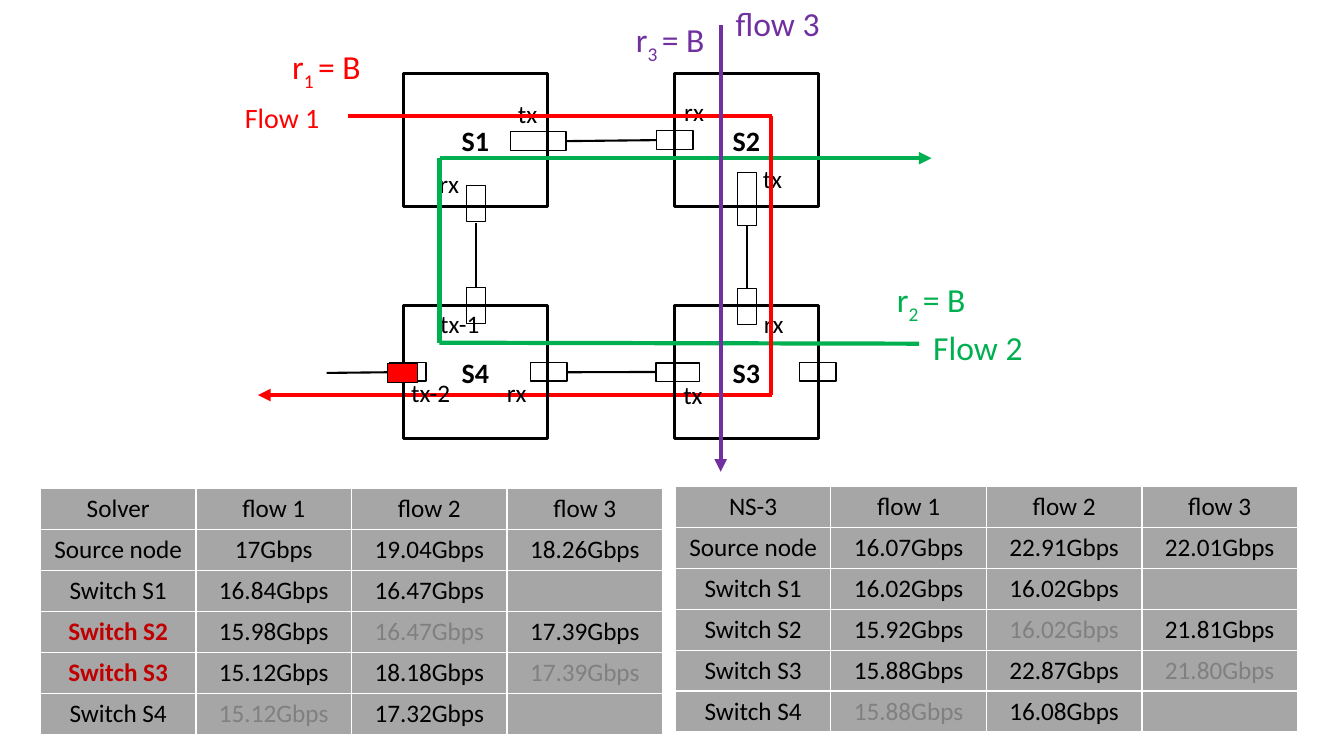
from itertools import product
from lxml import etree
from pptx import Presentation
from pptx.dml.color import RGBColor
from pptx.enum import shapes, text
from pptx.oxml import ns
from pptx.util import Pt

BLACK, WHITE, GREY, DIM = "000000", "FFFFFF", "A6A6A6", "808080"
RED, GREEN, PURPLE, DARK = "FF0000", "00B050", "7030A0", "C00000"

HEAD = ["flow 1", "flow 2", "flow 3"]
NAMES = ["Source node", "Switch S1", "Switch S2", "Switch S3", "Switch S4"]
TABLES = [
    ("NS-3", 482.4, 347.6, [
        ["16.07", "22.91", "22.01"],
        ["16.02", "16.02", ""],
        ["15.92", "16.02", "21.81"],
        ["15.88", "22.87", "21.80"],
        ["15.88", "16.08", ""]], []),
    ("Solver", 28.9, 349.2, [
        ["17", "19.04", "18.26"],
        ["16.84", "16.47", ""],
        ["15.98", "16.47", "17.39"],
        ["15.12", "18.18", "17.39"],
        ["15.12", "17.32", ""]], ["Switch S2", "Switch S3"]),
]
FADED = [(3, 2), (4, 3), (5, 1)]

SWITCHES = ["S1", "S2", "S4", "S3"]
LEFTS, TOPS = (288, 481.7), (52.6, 218.2)
FLAT = [(469.1, 93.2, 25.9), (364.7, 93.9, 39.6), (468.7, 259.2, 31),
        (379.1, 258.8, 25.9), (278.3, 258.8, 25.9), (571.3, 258.8, 25.9)]
TALL = [(527, 123.1, 38.2), (333.4, 132.5, 25.9),
        (333.4, 205.2, 25.9), (527, 205.9, 25.9)]
THICK = 13.5
QUEUE = (276.9, 259.6, 21.6, THICK)

LABELS = [
    ("rx", 306.7, 116.6, 28.8), ("tx", 362.9, 67, 28.1),
    ("rx", 481.7, 65.5, 28.8), ("rx", 538.6, 216.7, 28.8),
    ("rx", 355, 265.7, 28.8), ("tx", 537.8, 113, 28.1),
    ("tx-1", 307.4, 216.7, 43.2), ("tx", 481, 267.1, 28.1),
    ("tx-2", 286.6, 265.7, 43.2),
]
TITLES = [("Flow 2", 659.5, 229.7, 78.5, GREEN, 24),
          ("Flow 1", 167.8, 68.4, 68.4, RED, 20),
          ("flow 3", 518.4, -1.4, 74.9, PURPLE, 24)]
RATES = [("1 ", 201.6, 29.5, RED), ("2 ", 633.6, 195.8, GREEN),
         ("3 ", 447.1, 10.1, PURPLE)]

BACK = (551.5, 282.2, 184.3, 282.2, RED, 3, True)
FLOWS = [
    (314.6, 113, 665.3, 113, GREEN, 3, True),
    (656.6, 245.5, 313.9, 244.8, GREEN, 3, False),
    (313.9, 113, 313.9, 244.8, GREEN, 3, False),
    (248.4, 82.8, 551.5, 82.8, RED, 3, False),
    (550.8, 82.8, 550.8, 282.2, RED, 3, False),
    (514.8, 18, 514.8, 337, PURPLE, 3, True),
]
LINKS = [(404.6, 265.9, 468.7, 265.7), (404.6, 100.8, 468.7, 100.1),
         (533.5, 205.9, 533.5, 160.9), (339.8, 205.2, 339.8, 159.1),
         (233.3, 266.4, 277.9, 265.9)]


def rgb(code):
    return RGBColor.from_string(code)


def write(frame, words, size=18, color=BLACK, bold=False, align="LEFT"):
    para = frame.paragraphs[0]
    para.alignment = text.PP_ALIGN[align]
    parts = [words] if isinstance(words, str) else words
    for spot, part in enumerate(parts):
        run = para.add_run()
        run.text = part
        font = run.font
        font.name, font.size, font.bold = "Calibri", Pt(size), bold
        font.color.rgb = rgb(color)
        if spot == 1:
            run._r.get_or_add_rPr().set("baseline", "-25000")


def label(words, x, y, wide, color=BLACK, size=18):
    box = slide.shapes.add_textbox(Pt(x), Pt(y), Pt(wide), Pt(size * 1.2 + 7.2))
    box.text_frame.word_wrap = False
    write(box.text_frame, words, size=size, color=color)


def rect(x, y, wide, high, line=1, fill=None):
    box = slide.shapes.add_shape(
        shapes.MSO_SHAPE.RECTANGLE, Pt(x), Pt(y), Pt(wide), Pt(high))
    box.shadow.inherit = False
    if fill:
        box.fill.solid()
        box.fill.fore_color.rgb = rgb(fill)
    else:
        box.fill.background()
    box.line.color.rgb = rgb(BLACK)
    box.line.width = Pt(line)
    return box


def wire(x1, y1, x2, y2, color=BLACK, width=1.5, arrow=False):
    link = slide.shapes.add_connector(
        shapes.MSO_CONNECTOR.STRAIGHT, Pt(x1), Pt(y1), Pt(x2), Pt(y2))
    link.line.color.rgb = rgb(color)
    link.line.width = Pt(width)
    if arrow:
        etree.SubElement(link.line._get_or_add_ln(), ns.qn("a:tailEnd"),
                         type="triangle")
    etree.SubElement(link._element.spPr, ns.qn("a:effectLst"))


def table(name, x, y, rates, hot):
    rows = [[name] + HEAD]
    for node, line in zip(NAMES, rates):
        rows.append([node] + [rate and rate + "Gbps" for rate in line])
    grid = slide.shapes.add_table(
        len(rows), 4, Pt(x), Pt(y), Pt(444.4), Pt(175.2)).table
    for r, c in product(range(len(rows)), range(4)):
        cell, words = grid.cell(r, c), rows[r][c]
        cell.fill.solid()
        cell.fill.fore_color.rgb = rgb(GREY)
        if words:
            key = words in hot
            color = DARK if key else DIM if (r, c) in FADED else BLACK
            write(cell.text_frame, words, color=color, bold=key, align="CENTER")


deck = Presentation()
deck.slide_width, deck.slide_height = Pt(960), Pt(540)
slide = deck.slides.add_slide(deck.slide_layouts[6])
slide.background.fill.solid()
slide.background.fill.fore_color.rgb = rgb(WHITE)

for item in TABLES:
    table(*item)
wire(*BACK)
for name, (y, x) in zip(SWITCHES, product(TOPS, LEFTS)):
    box = rect(x, y, 103, 95, line=2.25)
    box.text_frame.vertical_anchor = text.MSO_ANCHOR.MIDDLE
    write(box.text_frame, name, size=20, bold=True, align="CENTER")
for x, y, long in FLAT:
    rect(x, y, long, THICK)
for x, y, long in TALL:
    rect(x, y, THICK, long)
for item in LABELS:
    label(*item)
for item in FLOWS + LINKS:
    wire(*item)
rect(*QUEUE, fill=RED)
for item in TITLES:
    label(*item)
for sub, x, y, color in RATES:
    label(["r", sub, "= B"], x, y, 65.5, color=color, size=24)

deck.save("out.pptx")
